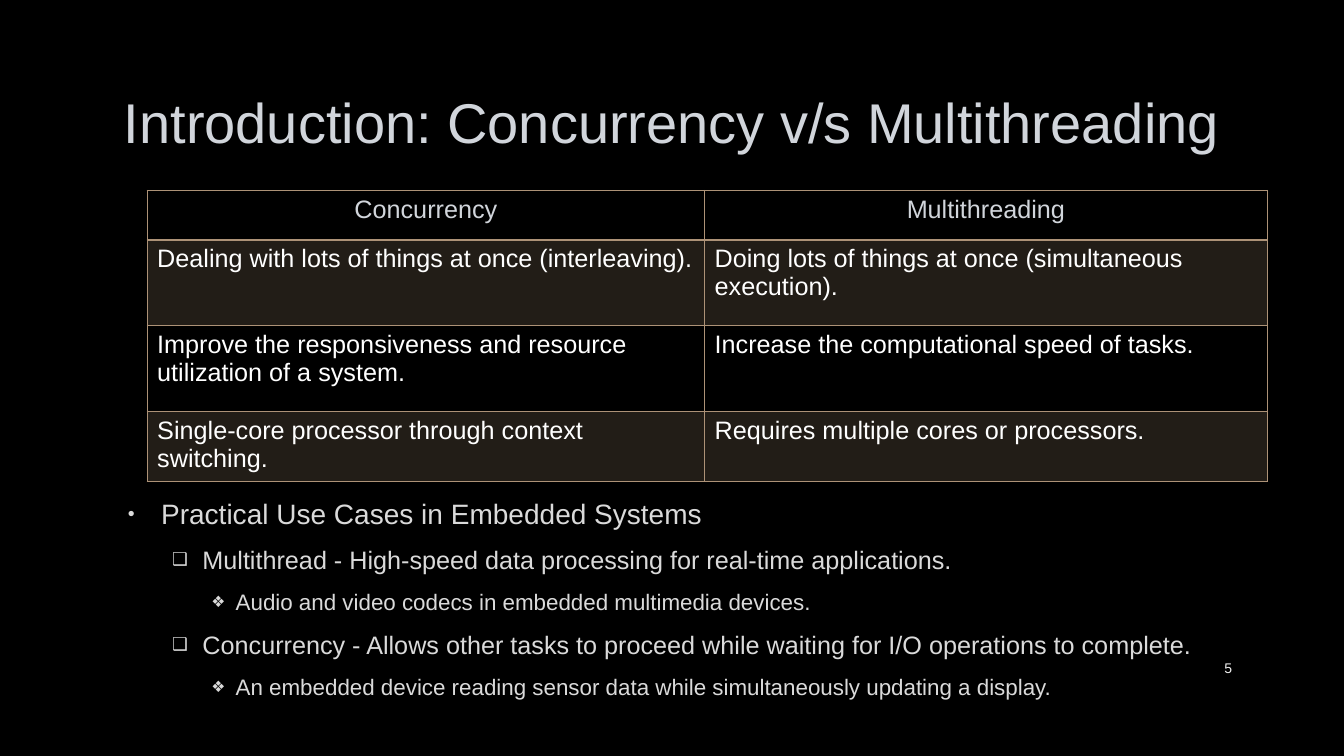
"""Build the slide comparing concurrency with multithreading."""
from lxml import etree
from pptx import Presentation
from pptx.dml.color import RGBColor
from pptx.enum.text import MSO_ANCHOR, PP_ALIGN
from pptx.oxml.ns import qn
from pptx.util import Inches, Pt

LEFT, CENTER, RIGHT = PP_ALIGN.LEFT, PP_ALIGN.CENTER, PP_ALIGN.RIGHT
TOP, MIDDLE = MSO_ANCHOR.TOP, MSO_ANCHOR.MIDDLE

BLACK = RGBColor(0x00, 0x00, 0x00)
WHITE = RGBColor(0xFF, 0xFF, 0xFF)
SILVER = RGBColor(0xD1, 0xD5, 0xDB)
LIGHT_GRAY = RGBColor(0xDA, 0xDA, 0xDA)
PALE_GRAY = RGBColor(0xF2, 0xF2, 0xF2)
BRONZE = RGBColor(0xAD, 0x92, 0x77)

FONT = "Arial"
WIDTH, HEIGHT = Inches(13.33), Inches(7.5)
BAND_OPACITY = 20
COLUMN_SHARES = (41.48, 41.86)
ROW_SHARES = (6.53, 11.33, 11.33, 6.53)

COMPARISON = (
    ("Concurrency", "Multithreading"),
    ("Dealing with lots of things at once (interleaving).",
     "Doing lots of things at once (simultaneous execution)."),
    ("Improve the responsiveness and resource utilization of a system.",
     "Increase the computational speed of tasks."),
    ("Single-core processor through context switching.",
     "Requires multiple cores or processors."),
)
USE_CASES = (
    (0, "Practical Use Cases in Embedded Systems"),
    (1, "Multithread - High-speed data processing for real-time applications."),
    (2, "Audio and video codecs in embedded multimedia devices."),
    (1, "Concurrency - Allows other tasks to proceed while waiting for I/O "
        "operations to complete."),
    (2, "An embedded device reading sensor data while simultaneously updating "
        "a display."),
)
BULLET_LEVELS = (
    ("•", 20, 0.38, 0.33),
    ("❑", 18, 0.79, 0.30),
    ("❖", 16, 1.12, 0.24),
)


def across(percent):
    """Return a share of the slide's width."""
    return round(WIDTH * percent / 100)


def down(percent):
    """Return a share of the slide's height."""
    return round(HEIGHT * percent / 100)


def add_run(paragraph, text, size, color, alignment=LEFT):
    """Add a styled run to a paragraph and align it."""
    paragraph.alignment = alignment
    run = paragraph.add_run()
    run.text = text
    run.font.name = FONT
    run.font.size = Pt(size)
    run.font.color.rgb = color


def add_text_frame(slide, left, top, width, height, anchor=TOP):
    """Add a wrapping text box placed in percent and return its frame."""
    box = slide.shapes.add_textbox(across(left), down(top), across(width), down(height))
    frame = box.text_frame
    frame.word_wrap = True
    frame.vertical_anchor = anchor
    return frame


def set_bullet(paragraph, level):
    """Give a paragraph the bullet and hanging indent of its level."""
    symbol, _, margin, hanging = BULLET_LEVELS[level]
    properties = paragraph._p.get_or_add_pPr()
    properties.set("marL", str(Inches(margin)))
    properties.set("indent", str(-Inches(hanging)))
    color = etree.SubElement(properties, qn("a:buClr"))
    etree.SubElement(color, qn("a:srgbClr"), val=str(LIGHT_GRAY))
    etree.SubElement(properties, qn("a:buSzPct"), val="70000")
    etree.SubElement(properties, qn("a:buFont"), typeface=FONT)
    etree.SubElement(properties, qn("a:buChar"), char=symbol)


def add_bullets(slide, items):
    """Add the list of use cases below the table."""
    frame = add_text_frame(slide, 8.4, 65.07, 84.9, 31.7)
    for index, (level, text) in enumerate(items):
        paragraph = frame.add_paragraph() if index else frame.paragraphs[0]
        size = BULLET_LEVELS[level][1]
        paragraph.level = level
        paragraph.space_before = Pt(size * 0.23 if index else 0)
        paragraph.space_after = Pt(6)
        add_run(paragraph, text, size, LIGHT_GRAY)
        set_bullet(paragraph, level)


def set_borders(cell, row):
    """Outline a cell, with a heavier line under the header row."""
    weights = {"L": 1, "R": 1, "T": 2 if row == 1 else 1, "B": 2 if row == 0 else 1}
    properties = cell._tc.get_or_add_tcPr()
    for position, (side, weight) in enumerate(weights.items()):
        line = etree.Element(qn(f"a:ln{side}"), w=str(Pt(weight)))
        fill = etree.SubElement(line, qn("a:solidFill"))
        etree.SubElement(fill, qn("a:srgbClr"), val=str(BRONZE))
        properties.insert(position, line)


def fill_cell(cell, banded):
    """Tint a banded cell and leave any other one clear."""
    if not banded:
        cell.fill.background()
        return
    cell.fill.solid()
    cell.fill.fore_color.rgb = BRONZE
    color = cell._tc.tcPr.find(f".//{qn('a:srgbClr')}")
    etree.SubElement(color, qn("a:alpha"), val=str(BAND_OPACITY * 1000))


def add_comparison(slide, rows):
    """Add the comparison table."""
    frame = slide.shapes.add_table(
        len(rows), len(rows[0]), across(10.95), down(25.2),
        across(sum(COLUMN_SHARES)), down(sum(ROW_SHARES)))
    table = frame.table
    table.first_row = False
    table.horz_banding = False
    for column, share in zip(table.columns, COLUMN_SHARES):
        column.width = across(share)
    for row, share in zip(table.rows, ROW_SHARES):
        row.height = down(share)
    for row_index, texts in enumerate(rows):
        color, alignment = (WHITE, LEFT) if row_index else (SILVER, CENTER)
        for column_index, text in enumerate(texts):
            cell = table.cell(row_index, column_index)
            add_run(cell.text_frame.paragraphs[0], text, 18, color, alignment)
            fill_cell(cell, row_index % 2 == 1)
            set_borders(cell, row_index)


def main():
    """Build and save the presentation."""
    presentation = Presentation()
    presentation.slide_width, presentation.slide_height = WIDTH, HEIGHT
    slide = presentation.slides.add_slide(presentation.slide_layouts[6])
    slide.background.fill.solid()
    slide.background.fill.fore_color.rgb = BLACK

    title = add_text_frame(slide, 7.5, 8.93, 84.9, 14.13, MIDDLE)
    add_run(title.paragraphs[0], "Introduction: Concurrency v/s Multithreading",
            40, SILVER, CENTER)
    add_bullets(slide, USE_CASES)
    add_comparison(slide, COMPARISON)
    number = add_text_frame(slide, 86.27, 85.73, 6.15, 5.33, MIDDLE)
    add_run(number.paragraphs[0], "5", 10, PALE_GRAY, RIGHT)
    presentation.save("out.pptx")


if __name__ == "__main__":
    main()
